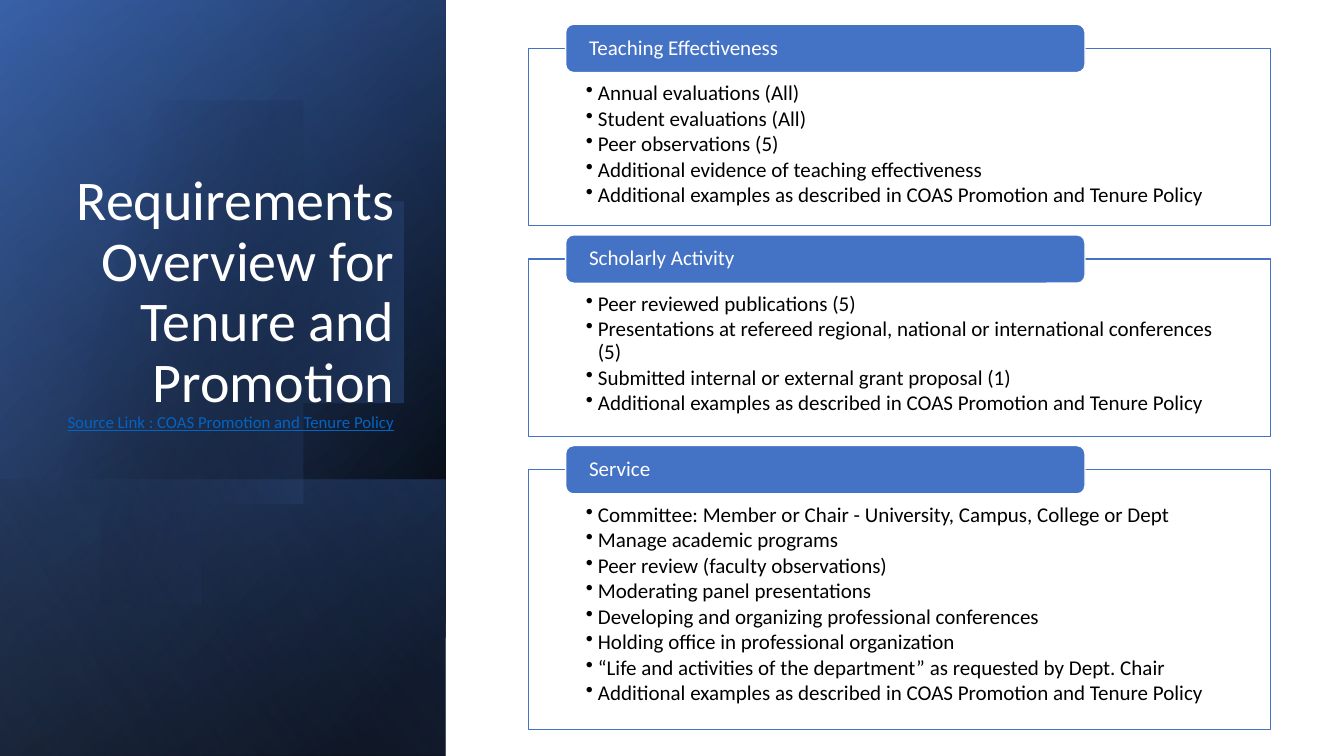
from math import acos, cos, radians, sin, degrees
from lxml.etree import SubElement
from pptx import Presentation
from pptx.dml.color import RGBColor
from pptx.enum.shapes import MSO_SHAPE
from pptx.enum.text import MSO_ANCHOR, MSO_AUTO_SIZE, PP_ALIGN
from pptx.oxml.ns import qn
from pptx.util import Inches, Pt

BLUE, WHITE, BLACK = "4472C4", "FFFFFF", "000000"
SIDE = 4.42
GAP = 0.33
POLICY = "Additional examples as described in COAS Promotion and Tenure Policy"
SECTIONS = [
    ("Teaching Effectiveness", 1.76, [
        "Annual evaluations (All)",
        "Student evaluations (All)",
        "Peer observations (5)",
        "Additional evidence of teaching effectiveness",
        POLICY]),
    ("Scholarly Activity", 1.76, [
        "Peer reviewed publications (5)",
        "Presentations at refereed regional, national or international conferences (5)",
        "Submitted internal or external grant proposal (1)",
        POLICY]),
    ("Service", 2.58, [
        "Committee: Member or Chair - University, Campus, College or Dept",
        "Manage academic programs",
        "Peer review (faculty observations)",
        "Moderating panel presentations",
        "Developing and organizing professional conferences",
        "Holding office in professional organization",
        "“Life and activities of the department” as requested by Dept. Chair",
        POLICY]),
]


def rgb(code):
    return RGBColor.from_string(code)


def add_run(para, text, size, color):
    run = para.add_run()
    run.text = text
    run.font.name = "Calibri"
    run.font.size = Pt(size)
    run.font.color.rgb = rgb(color)
    return run


def shade(shape, angle, stops):
    """Fill with a clockwise-angled gradient; stops are (percent, color, opacity)."""
    shape.shadow.inherit = False
    shape.line.fill.background()
    shape.fill.gradient()
    shape.fill.gradient_angle = 360 - angle
    for stop, (place, color, _) in zip(shape.fill.gradient_stops, stops):
        stop.position = place / 100
        stop.color.rgb = rgb(color)
    tints = shape._element.spPr.iter(qn("a:srgbClr"))
    for tint, (_, _, alpha) in zip(list(tints), stops):
        if alpha < 100:
            SubElement(tint, qn("a:alpha")).set("val", str(alpha * 1000))


def add_box(slide, kind, box, fill, line):
    shape = slide.shapes.add_shape(kind, *map(Inches, box))
    shape.shadow.inherit = False
    shape.fill.solid()
    shape.fill.fore_color.rgb = rgb(fill)
    shape.line.color.rgb = rgb(line)
    shape.line.width = Pt(1)
    return shape


def set_frame(shape, anchor, insets):
    frame = shape.text_frame
    frame.word_wrap = True
    frame.vertical_anchor = anchor
    (frame.margin_left, frame.margin_top,
     frame.margin_right, frame.margin_bottom) = map(Inches, insets)
    return frame


def add_band(slide, top, height, angle, stops):
    band = slide.shapes.add_shape(MSO_SHAPE.RECTANGLE, 0, Inches(top),
                                  Inches(SIDE), Inches(height))
    shade(band, angle, stops)


def add_disc(slide, mid_x, mid_y, radius):
    """Draw a circle cut off by the slide's left edge."""
    reach = int(degrees(acos(-mid_x / radius)))
    points = [(mid_x + radius * cos(radians(turn)),
               mid_y + radius * sin(radians(turn)))
              for turn in range(-reach, reach + 1, 2)]
    pen = slide.shapes.build_freeform(*points[0], scale=Inches(1))
    pen.add_line_segments(points[1:], close=True)
    shade(pen.convert_to_shape(), 14, [(29, BLACK, 0), (100, BLUE, 43)])


def add_side(slide):
    add_band(slide, 0, 7.5, 220, [(8, BLACK, 100), (100, "2F5597", 100)])
    add_band(slide, 0, 7.5, 240, [(0, BLACK, 0), (99, BLUE, 46)])
    add_band(slide, 4.76, 2.74, 140, [(2, BLUE, 29), (100, BLACK, 30)])
    add_disc(slide, 1.44, 3.39, 2.29)
    add_band(slide, 0, 7.5, 150, [(0, BLACK, 0), (99, "8FAADC", 11)])


def set_title(slide, box):
    title = slide.shapes.title
    title.left, title.top, title.width, title.height = map(Inches, box)
    slide.shapes._spTree.append(title._element)  # bring to the front
    frame = set_frame(title, MSO_ANCHOR.BOTTOM, (0.1, 0.05, 0.1, 0.05))
    frame.auto_size = MSO_AUTO_SIZE.NONE
    para = frame.paragraphs[0]
    para.alignment = PP_ALIGN.RIGHT
    para.line_spacing = 0.9
    add_run(para, "Requirements Overview for Tenure and Promotion", 40, WHITE)
    para.add_line_break()
    add_run(para, "Source Link : COAS Promotion and Tenure Policy",
            12, "0563C1").font.underline = True


def add_bullet(para, text):
    para.alignment = PP_ALIGN.LEFT
    para.line_spacing = 0.9
    para.space_after = Pt(2)
    props = para._p.get_or_add_pPr()
    props.set("marL", str(Inches(0.12)))
    props.set("indent", str(-Inches(0.12)))
    SubElement(props, qn("a:buChar")).set("char", "•")
    add_run(para, text, 15, BLACK)


def add_section(slide, box, head, items):
    left, top, width, _ = box
    body = add_box(slide, MSO_SHAPE.RECTANGLE, box, WHITE, BLUE)
    frame = set_frame(body, MSO_ANCHOR.TOP, (0.57, 0.34, 0.57, 0.12))
    for rank, item in enumerate(items):
        add_bullet(frame.add_paragraph() if rank else frame.paragraphs[0], item)
    tab = add_box(slide, MSO_SHAPE.ROUNDED_RECTANGLE,
                  (left + 0.37, top - 0.24, width * 0.7, 0.48), BLUE, WHITE)
    para = set_frame(tab, MSO_ANCHOR.MIDDLE, (0.21, 0, 0.21, 0)).paragraphs[0]
    para.alignment = PP_ALIGN.LEFT
    para.line_spacing = 0.9
    add_run(para, head, 15, WHITE)


def main():
    deck = Presentation()
    deck.slide_width, deck.slide_height = Inches(13.33), Inches(7.5)
    slide = deck.slides.add_slide(deck.slide_layouts[5])
    add_side(slide)
    set_title(slide, (0.51, 0.64, 3.5, 3.7))
    top = 0.48
    for head, height, items in SECTIONS:
        add_section(slide, (5.24, top, 7.36, height), head, items)
        top += height + GAP
    deck.save("out.pptx")


if __name__ == "__main__":
    main()
